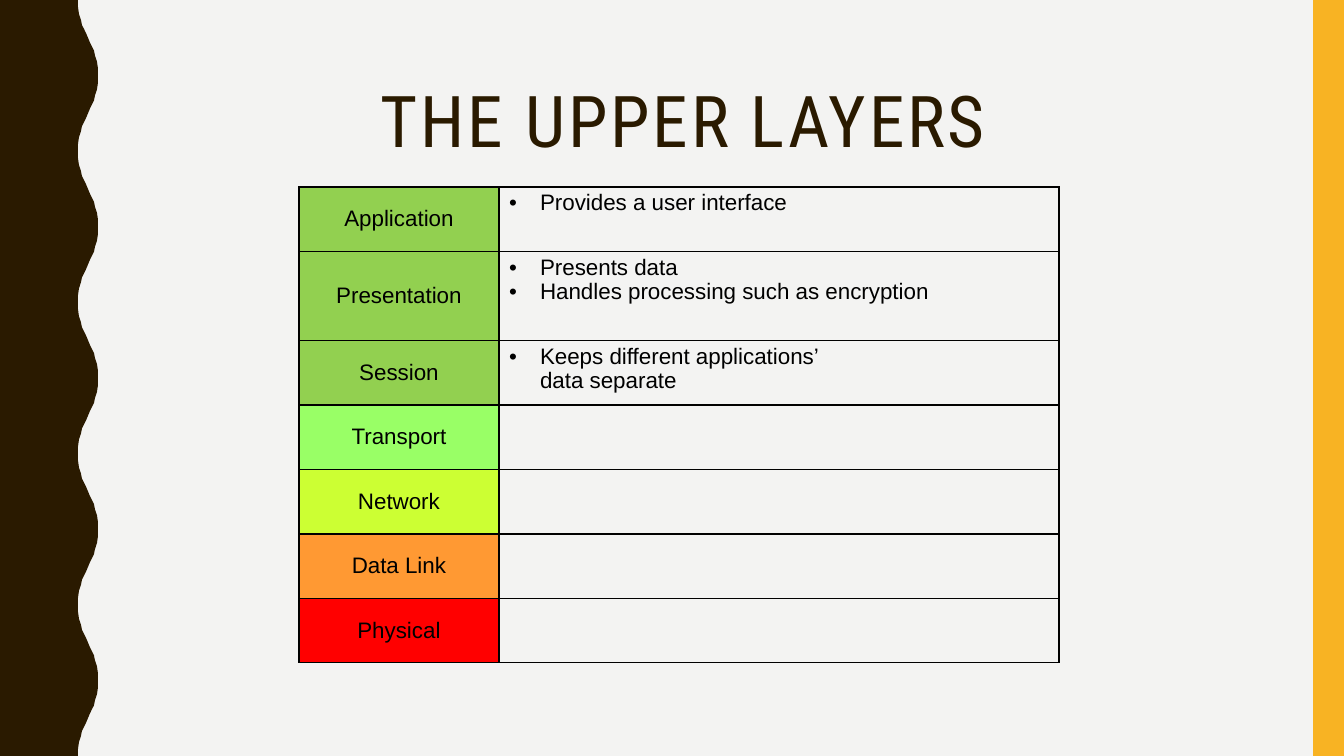
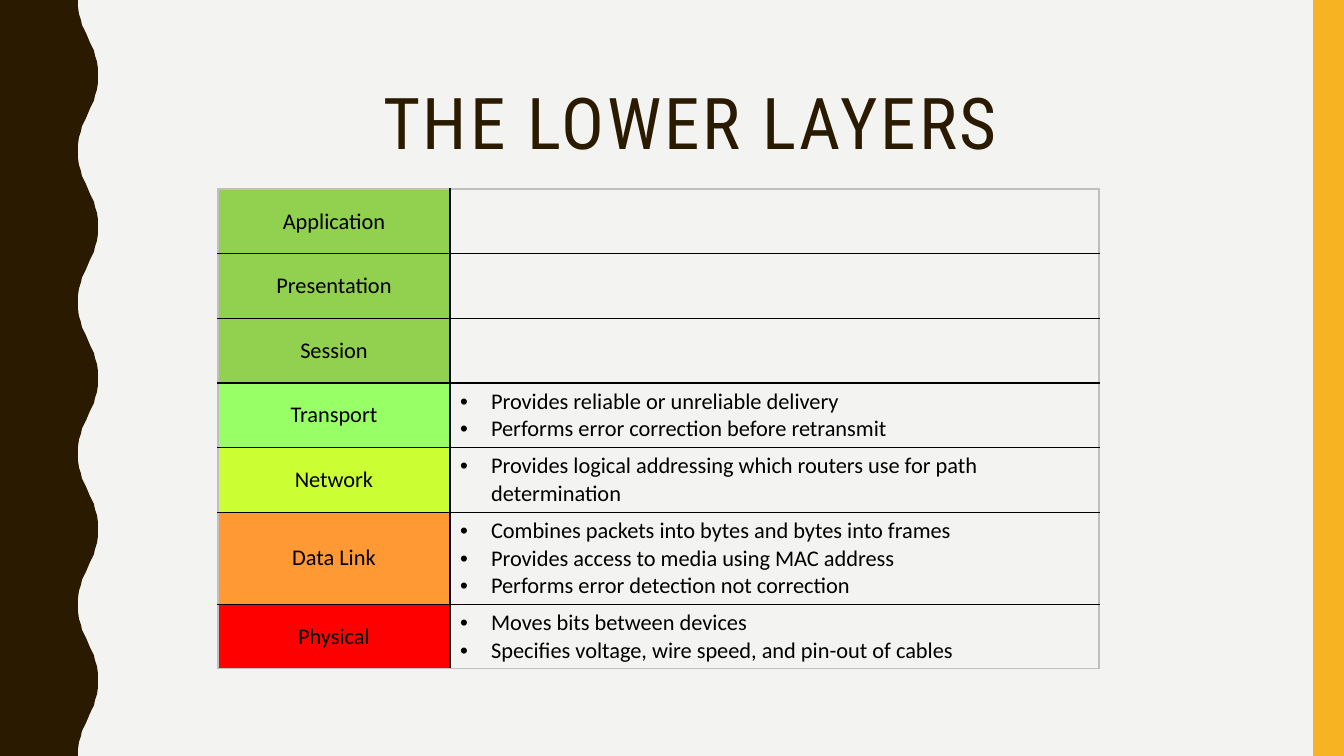
from dataclasses import dataclass

from lxml import etree
from pptx import Presentation
from pptx import util as u
from pptx.dml.color import RGBColor
from pptx.enum import shapes, text
from pptx.oxml.ns import qn

PX_PER_INCH = 100.8
PAGE_W, PAGE_H = 1344, 756
WAVE_COUNT = 5
WAVE_LEFT, WAVE_RIGHT = 78, 98
WAVE_QUARTER = [(78, 0), (78, 7), (79, 14), (81, 20), (82, 25), (84, 29), (86, 33)]
LAYERS = ["Application", "Presentation", "Session", "Transport",
          "Network", "Data Link", "Physical"]


@dataclass(frozen=True)
class Theme:
    paper: str = "F3F3F2"
    brown: str = "2A1A00"
    gold: str = "F8B323"
    ink: str = "000000"
    pale_rule: str = "BFBFBF"
    layer_fills: tuple = ("92D050", "92D050", "92D050", "99FF66",
                          "CCFF33", "FF9933", "FF0000")
    title_font: str = "Roboto Condensed"
    title_size: int = 51
    title_tracking: int = 200
    body_size: int = 16
    rule_width: int = 1


def px(length):
    return u.Emu(round(length * 914400 / PX_PER_INCH))


def rgb(value):
    return RGBColor.from_string(value)


def apply(target, values):
    for name, value in values.items():
        setattr(target, name, value)


def wave_edge():
    """Points down the wavy edge; each half wave is a quarter and its point mirror."""
    half_height = PAGE_H / WAVE_COUNT / 2
    middle = ((WAVE_LEFT + WAVE_RIGHT) / 2, half_height / 2)
    mirror = [(WAVE_LEFT + WAVE_RIGHT - x, half_height - y)
              for x, y in reversed(WAVE_QUARTER)]
    half = WAVE_QUARTER + [middle] + mirror
    points = []
    for index in range(2 * WAVE_COUNT):
        for x, y in half:
            side = WAVE_LEFT + WAVE_RIGHT - x if index % 2 else x
            points.append((side, index * half_height + y))
    return points


class LayerDeck:
    def __init__(self, theme):
        self.theme = theme
        self.deck = Presentation()
        apply(self.deck, {"slide_width": px(PAGE_W), "slide_height": px(PAGE_H)})
        self.page = None

    def new_page(self):
        self.page = self.deck.slides.add_slide(self.deck.slide_layouts[6])
        fill = self.page.background.fill
        fill.solid()
        fill.fore_color.rgb = rgb(self.theme.paper)
        self.wave_band()
        bar = self.page.shapes.add_shape(
            shapes.MSO_SHAPE.RECTANGLE, px(1313), 0, px(31), px(PAGE_H))
        self.paint(bar, self.theme.gold)

    def paint(self, shape, color):
        shape.shadow.inherit = False
        shape.fill.solid()
        shape.fill.fore_color.rgb = rgb(color)
        shape.line.fill.background()

    def wave_band(self):
        outline = self.page.shapes.build_freeform(0, 0)
        edge = [(px(x), px(y)) for x, y in wave_edge()]
        outline.add_line_segments(edge + [(0, px(PAGE_H))], close=True)
        self.paint(outline.convert_to_shape(), self.theme.brown)

    def add_words(self, para, words, font, size, color):
        """Add text to a paragraph, with a line break at each newline."""
        for index, line in enumerate(words.split("\n")):
            if index:
                para.add_line_break()
            span = para.add_run()
            span.text = line
            apply(span.font, {"name": font, "size": u.Pt(size)})
            span.font.color.rgb = rgb(color)
        return span

    def title(self, words, left, top):
        box = self.page.shapes.add_textbox(px(left), px(top), px(723), px(126))
        apply(box.text_frame, {"word_wrap": True,
                               "vertical_anchor": text.MSO_ANCHOR.MIDDLE})
        para = box.text_frame.paragraphs[0]
        apply(para, {"alignment": text.PP_ALIGN.CENTER, "line_spacing": 0.9})
        theme = self.theme
        span = self.add_words(para, words, theme.title_font, theme.title_size, theme.brown)
        span._r.get_or_add_rPr().set("spc", str(theme.title_tracking))

    def bullet(self, para):
        props = para._p.get_or_add_pPr()
        props.set("marL", str(px(31)))
        props.set("indent", str(-px(31)))
        etree.SubElement(props, qn("a:buFont")).set("typeface", "Arial")
        etree.SubElement(props, qn("a:buChar")).set("char", "•")

    def borders(self, cell, colors):
        """Draw the sides of a cell; colors maps L, R, T and B, in that order."""
        props = cell._tc.get_or_add_tcPr()
        for side, color in colors.items():
            line = etree.SubElement(props, qn(f"a:ln{side}"))
            line.set("w", str(u.Pt(self.theme.rule_width)))
            fill = etree.SubElement(line, qn("a:solidFill"))
            etree.SubElement(fill, qn("a:srgbClr")).set("val", color)

    def layer_table(self, left, top, widths, height, tall_row, tall_height,
                    notes, font, outer_color, line_spacing):
        """Table of all layers; notes maps a layer to its bullet lines."""
        theme = self.theme
        last = len(LAYERS) - 1
        row_height = (height - tall_height) / last
        table = self.page.shapes.add_table(
            len(LAYERS), 2, px(left), px(top), px(sum(widths)), px(height)).table
        apply(table, {"first_row": False, "horz_banding": False})
        for column, width in zip(table.columns, widths):
            column.width = px(width)
        for index, layer in enumerate(LAYERS):
            table.rows[index].height = px(tall_height if layer == tall_row else row_height)
            name_cell, note_cell = table.rows[index].cells
            top_color = theme.ink if index else outer_color
            bottom_color = theme.ink if index < last else outer_color
            for cell, sides in ((name_cell, (outer_color, theme.ink)),
                                (note_cell, (theme.ink, outer_color))):
                self.borders(cell, dict(zip("LRTB", (*sides, top_color, bottom_color))))

            name_cell.fill.solid()
            name_cell.fill.fore_color.rgb = rgb(theme.layer_fills[index])
            name_cell.vertical_anchor = text.MSO_ANCHOR.MIDDLE
            para = name_cell.text_frame.paragraphs[0]
            para.alignment = text.PP_ALIGN.CENTER
            self.add_words(para, layer, font, theme.body_size, theme.ink)

            note_cell.fill.background()
            frame = note_cell.text_frame
            for number, note in enumerate(notes.get(layer, [])):
                para = frame.add_paragraph() if number else frame.paragraphs[0]
                self.bullet(para)
                para.line_spacing = line_spacing
                self.add_words(para, note, font, theme.body_size, theme.ink)


def main():
    theme = Theme()
    show = LayerDeck(theme)

    show.new_page()
    show.title("THE UPPER LAYERS", 322, 61)
    show.layer_table(
        299, 187, (200, 560), 476, "Presentation", 89,
        {"Application": ["Provides a user interface"],
         "Presentation": ["Presents data", "Handles processing such as encryption"],
         "Session": ["Keeps different applications’\ndata separate"]},
        font="Arial", outer_color=theme.ink, line_spacing=0.95)

    show.new_page()
    show.title("THE LOWER LAYERS", 329, 63)
    show.layer_table(
        218, 189, (232, 649), 480, "Data Link", 92,
        {"Transport": ["Provides reliable or unreliable delivery",
                       "Performs error correction before retransmit"],
         "Network": ["Provides logical addressing which routers use for path determination"],
         "Data Link": ["Combines packets into bytes and bytes into frames",
                       "Provides access to media using MAC address",
                       "Performs error detection not correction"],
         "Physical": ["Moves bits between devices",
                      "Specifies voltage, wire speed, and pin-out of cables"]},
        font="Calibri", outer_color=theme.pale_rule, line_spacing=1.0)

    show.deck.save("out.pptx")


if __name__ == "__main__":
    main()
